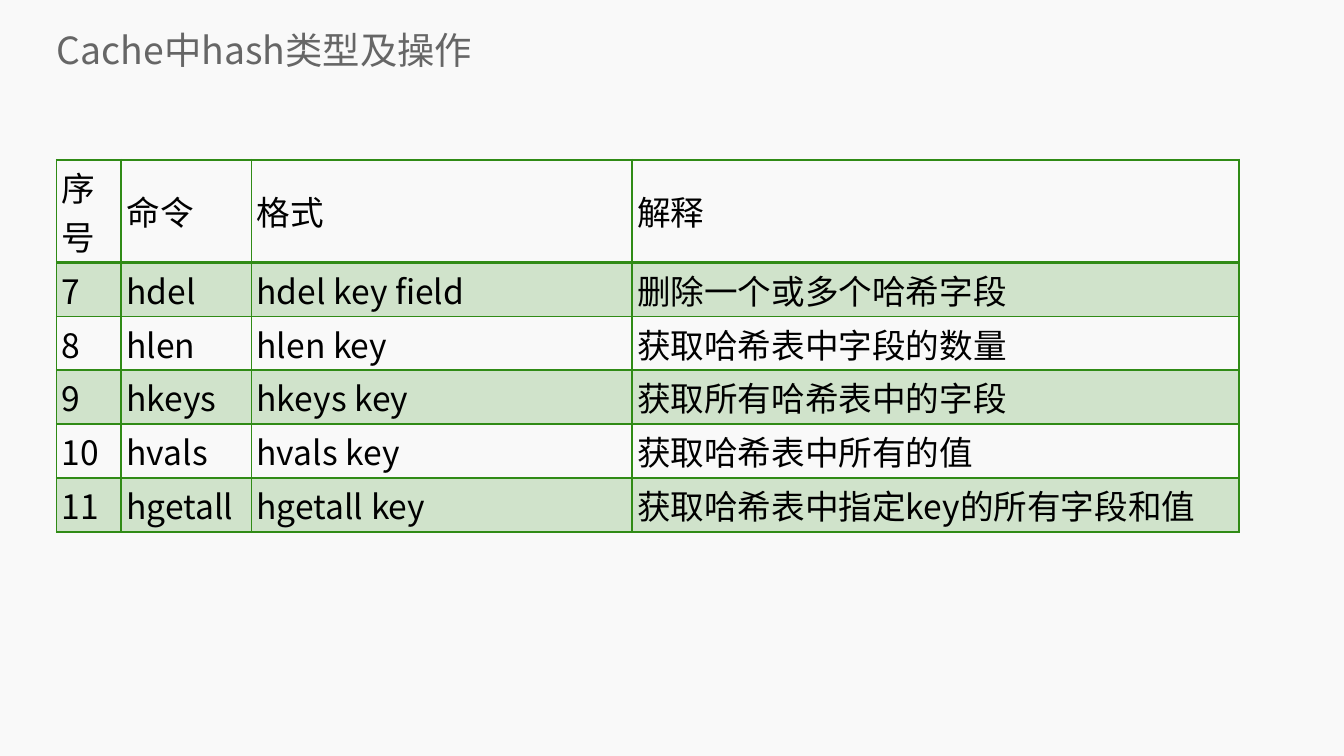
from lxml.etree import SubElement
from pptx import Presentation
from pptx.dml.color import RGBColor
from pptx.enum.text import MSO_ANCHOR, MSO_AUTO_SIZE, PP_ALIGN
from pptx.oxml.ns import qn
from pptx.util import Cm, Pt

FONT = "Noto Sans CJK SC"
GREEN = "308B16"
LEFT = Cm(1.07)
TITLE = "Cache中hash类型及操作"
COLUMN_WIDTHS = [1.22, 2.46, 7.19, 11.48]
ROW_HEIGHT = 0.97
COMMANDS = [
    ("序号", "命令", "格式", "解释"),
    ("7", "hdel", "hdel key field", "删除一个或多个哈希字段"),
    ("8", "hlen", "hlen key", "获取哈希表中字段的数量"),
    ("9", "hkeys", "hkeys key", "获取所有哈希表中的字段"),
    ("10", "hvals", "hvals key", "获取哈希表中所有的值"),
    ("11", "hgetall", "hgetall key", "获取哈希表中指定key的所有字段和值"),
]
TITLE_PLACE = {"left": LEFT, "top": Cm(0.46), "width": Cm(23.95), "height": Cm(0.97)}
TITLE_FRAME = {
    "margin_left": 0, "margin_top": 0, "margin_right": 0, "margin_bottom": 0,
    "vertical_anchor": MSO_ANCHOR.MIDDLE, "word_wrap": True,
    "auto_size": MSO_AUTO_SIZE.NONE,
}
CELL_FORMAT = {
    "margin_left": Cm(0.1), "margin_top": Cm(0.05),
    "margin_right": Cm(0.1), "margin_bottom": Cm(0.05),
    "vertical_anchor": MSO_ANCHOR.MIDDLE,
}


def color(value):
    return RGBColor.from_string(value)


def apply(target, values):
    for name, value in values.items():
        setattr(target, name, value)


def write(frame, text, size, text_color):
    """Fill the frame with one left-aligned run, Latin and East Asian font alike."""
    paragraph = frame.paragraphs[0]
    paragraph.alignment = PP_ALIGN.LEFT
    run = paragraph.add_run()
    run.text = text
    apply(run.font, {"name": FONT, "size": Pt(size), "bold": False})
    run.font.color.rgb = color(text_color)
    SubElement(run.font._element, qn("a:ea"), typeface=FONT)


def add_title(slide):
    title = slide.shapes.title
    apply(title, TITLE_PLACE)
    apply(title.text_frame, TITLE_FRAME)
    write(title.text_frame, TITLE, 20, "666666")


def set_borders(cell, top, bottom):
    """Draw all four borders; top and bottom are widths in points."""
    properties = cell._tc.get_or_add_tcPr()
    for side, width in (("L", 1), ("R", 1), ("T", top), ("B", bottom)):
        line = SubElement(properties, qn(f"a:ln{side}"), w=str(Pt(width)))
        fill = SubElement(line, qn("a:solidFill"))
        SubElement(fill, qn("a:srgbClr"), val=GREEN)


def tint(cell):
    """Fill the cell with green at 20 % opacity."""
    cell.fill.solid()
    cell.fill.fore_color.rgb = color(GREEN)
    green = cell._tc.tcPr.find(f"{qn('a:solidFill')}/{qn('a:srgbClr')}")
    SubElement(green, qn("a:alpha"), val="20000")


def add_command_table(slide):
    table = slide.shapes.add_table(
        len(COMMANDS), len(COLUMN_WIDTHS), LEFT, Cm(3.02),
        Cm(sum(COLUMN_WIDTHS)), Cm(ROW_HEIGHT * len(COMMANDS)),
    ).table
    apply(table, {"first_row": False, "horz_banding": False})
    for column, width in zip(table.columns, COLUMN_WIDTHS):
        column.width = Cm(width)
    for index, (row, command) in enumerate(zip(table.rows, COMMANDS)):
        row.height = Cm(ROW_HEIGHT)
        for cell, text in zip(row.cells, command):
            apply(cell, CELL_FORMAT)
            write(cell.text_frame, text, 18, "000000")
            set_borders(cell, top=2 if index == 1 else 1, bottom=2 if index == 0 else 1)
            if index % 2:
                tint(cell)
            else:
                cell.fill.background()


def main():
    deck = Presentation()
    apply(deck, {"slide_width": Cm(25.4), "slide_height": Cm(14.29)})
    slide = deck.slides.add_slide(deck.slide_layouts[5])
    slide.background.fill.solid()
    slide.background.fill.fore_color.rgb = color("F9F9F9")
    add_title(slide)
    add_command_table(slide)
    deck.save("out.pptx")


if __name__ == "__main__":
    main()
